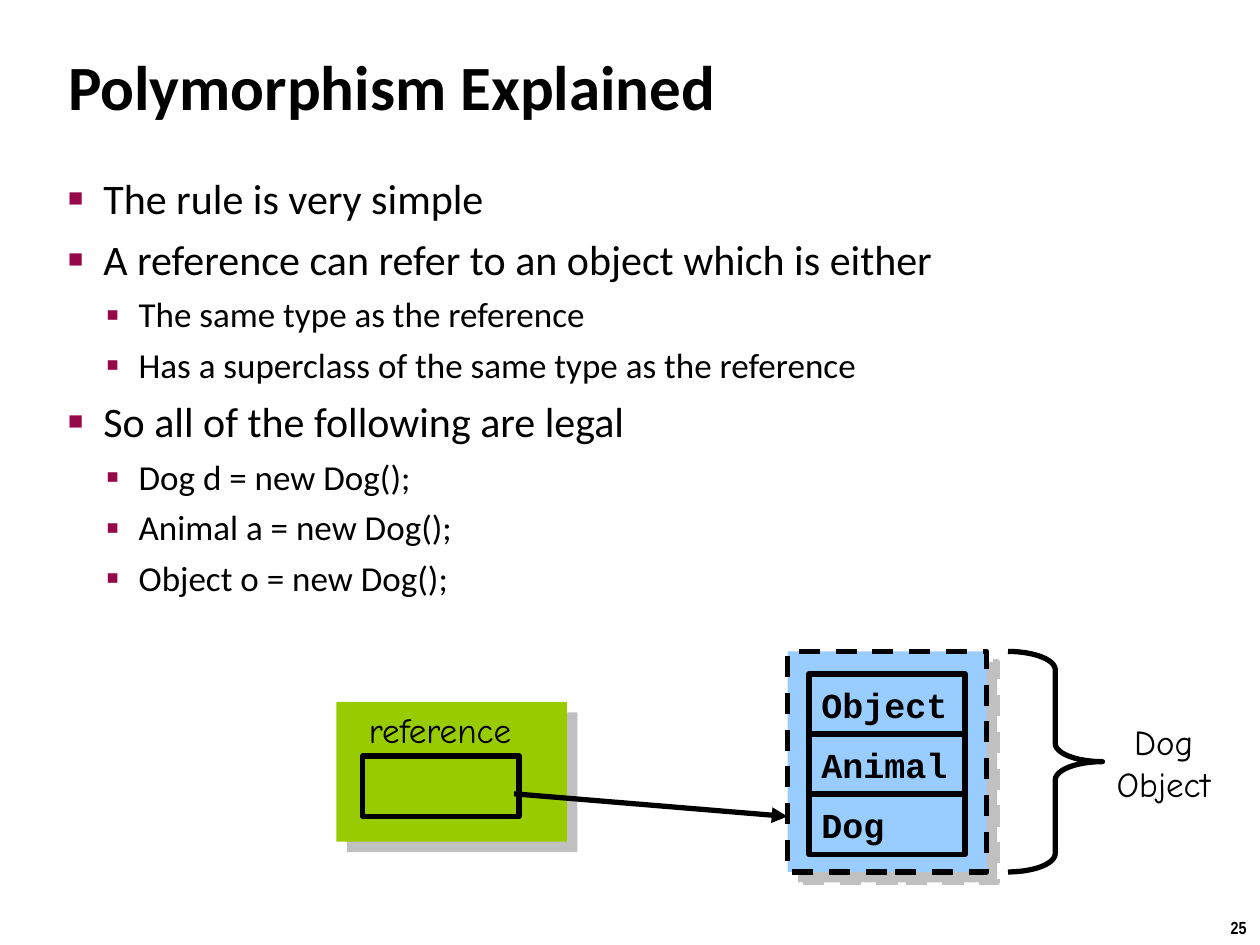
"""Builds the slide that explains polymorphism with a reference and a Dog object."""
from dataclasses import dataclass
from typing import Any, Optional

import lxml.etree
import pptx
import pptx.dml.color
import pptx.enum.dml
import pptx.enum.shapes
import pptx.enum.text
import pptx.oxml
import pptx.oxml.ns
import pptx.util

Inches = pptx.util.Inches
Pt = pptx.util.Pt
Shapes = pptx.enum.shapes.MSO_SHAPE
Align = pptx.enum.text.PP_ALIGN
Anchor = pptx.enum.text.MSO_ANCHOR
AutoSize = pptx.enum.text.MSO_AUTO_SIZE

COLORS = {
    "ink": "000000",
    "bullet": "950849",
    "object": "99CCFF",
    "reference": "99CC00",
    "shadow": "C0C0C0",
}
TITLE_FONT = {"name": "Calibri", "size": Pt(36), "bold": True}
CODE_FONT = {"name": "Courier New", "size": Pt(20), "bold": True}
LABEL_FONT = {"name": "Comic Neue", "size": Pt(20), "bold": False}
NUMBER_FONT = {"name": "Arial Narrow", "size": Pt(10), "bold": True}


@dataclass
class Level:
    size: int
    before: int
    margin: float
    hanging: float
    bullet: str
    bullet_percent: int


@dataclass
class Box:
    left: float
    top: float
    width: float
    height: float
    fill: Optional[str] = None
    outlined: bool = True
    dashed: bool = False
    shadowed: bool = False
    text: str = ""
    shape: Any = Shapes.RECTANGLE


@dataclass
class Label:
    left: float
    top: float
    width: float
    height: float
    lines: list[str]
    font: dict
    align: Any = Align.CENTER


LEVELS = [
    Level(24, 6, 0.28, 0.28, "■", 60),
    Level(20, 5, 0.56, 0.26, "▪", 110),
]
POINTS = [
    (0, "The rule is very simple"),
    (0, "A reference can refer to an object which is either"),
    (1, "The same type as the reference"),
    (1, "Has a superclass of the same type as the reference"),
    (0, "So all of the following are legal"),
    (1, "Dog d = new Dog();"),
    (1, "Animal a = new Dog();"),
    (1, "Object o = new Dog();"),
]
CLASSES = ["Object", "Animal", "Dog"]
CELL_WIDTH, CELL_HEIGHT = 1.24, 0.48
STACK_TOP, STACK_PITCH = 5.35, 0.475

BOXES = [
    Box(6.25, 5.17, 1.58, 1.75, "object", dashed=True, shadowed=True),
    Box(2.67, 5.57, 1.83, 1.11, "reference", outlined=False, shadowed=True),
    *[Box(6.42, STACK_TOP + row * STACK_PITCH, CELL_WIDTH, CELL_HEIGHT, text=name)
      for row, name in enumerate(CLASSES)],
    Box(2.88, 6, CELL_WIDTH, CELL_HEIGHT),
    Box(8, 5.17, 0.75, 1.75, shape=Shapes.RIGHT_BRACE),
]
LABELS = [
    Label(8.67, 5.67, 1.13, 0.77, ["Dog", "Object"], LABEL_FONT),
    Label(2.83, 5.57, 1.51, 0.43, ["reference"], LABEL_FONT, Align.LEFT),
    Label(9.66, 7.23, 0.34, 0.27, ["25"], NUMBER_FONT),
]


def rgb(name: str) -> pptx.dml.color.RGBColor:
    return pptx.dml.color.RGBColor.from_string(COLORS[name])


def apply(target: Any, values: dict) -> None:
    for name, value in values.items():
        setattr(target, name, value)


def add_child(parent: Any, tag: str, **attributes: str) -> Any:
    return lxml.etree.SubElement(parent, pptx.oxml.ns.qn(tag), attributes)


def write(para: Any, text: str, font: dict) -> None:
    span = para.add_run()
    span.text = text
    apply(span.font, font)
    span.font.color.rgb = rgb("ink")


def place(holder: Any, left: float, top: float, width: float, height: float) -> None:
    apply(holder, {"left": Inches(left), "top": Inches(top),
                   "width": Inches(width), "height": Inches(height)})
    sides = ["margin_left", "margin_top", "margin_right", "margin_bottom"]
    apply(holder.text_frame, {side: Inches(0.04) for side in sides})
    holder.text_frame.auto_size = AutoSize.NONE


def add_title(page: Any, text: str) -> None:
    title = page.shapes.title
    place(title, 0.5, 0.08, 9.08, 1.19)
    title.text_frame.vertical_anchor = Anchor.MIDDLE
    para = title.text_frame.paragraphs[0]
    para.alignment = Align.LEFT
    write(para, text, TITLE_FONT)


def add_points(page: Any) -> None:
    body = page.placeholders[1]
    place(body, 0.5, 1.33, 9.08, 5.94)
    frame = body.text_frame
    for index, (depth, text) in enumerate(POINTS):
        level = LEVELS[depth]
        para = frame.add_paragraph() if index else frame.paragraphs[0]
        apply(para, {"level": depth, "space_before": Pt(level.before)})
        write(para, text, {"name": "Calibri", "size": Pt(level.size)})
        props = para._p.get_or_add_pPr()
        props.set("marL", str(Inches(level.margin)))
        props.set("indent", str(-Inches(level.hanging)))
        add_child(add_child(props, "a:buClr"), "a:srgbClr", val=COLORS["bullet"])
        add_child(props, "a:buSzPct", val=str(level.bullet_percent * 1000))
        add_child(props, "a:buChar", char=level.bullet)


def add_shadow(shape: Any) -> None:
    effects = shape._element.spPr.find(pptx.oxml.ns.qn("a:effectLst"))
    shadow = add_child(effects, "a:outerShdw", dist=str(Pt(8.5)), dir="2700000",
                       algn="ctr", rotWithShape="0")
    add_child(shadow, "a:srgbClr", val=COLORS["shadow"])


def add_box(page: Any, box: Box) -> None:
    shape = page.shapes.add_shape(box.shape, Inches(box.left), Inches(box.top),
                                  Inches(box.width), Inches(box.height))
    shape.shadow.inherit = False
    if box.fill:
        shape.fill.solid()
        shape.fill.fore_color.rgb = rgb(box.fill)
    else:
        shape.fill.background()
    if box.outlined:
        shape.line.color.rgb = rgb("ink")
        shape.line.width = Pt(3)
    else:
        shape.line.fill.background()
    if box.dashed:
        shape.line.dash_style = pptx.enum.dml.MSO_LINE.DASH
    if box.shadowed:
        add_shadow(shape)
    if box.shape == Shapes.RIGHT_BRACE:
        shape.adjustments[0] = 0.194
    if box.text:
        para = shape.text_frame.paragraphs[0]
        para.alignment = Align.LEFT
        write(para, box.text, CODE_FONT)


def add_arrow(page: Any) -> None:
    arrow = page.shapes.add_connector(
        pptx.enum.shapes.MSO_CONNECTOR.STRAIGHT,
        Inches(4.08), Inches(6.3), Inches(6.25), Inches(6.48))
    arrow.line.color.rgb = rgb("ink")
    arrow.line.width = Pt(3)
    add_child(arrow.line._get_or_add_ln(), "a:tailEnd", type="triangle")
    add_child(arrow._element.spPr, "a:effectLst")


def add_label(page: Any, label: Label) -> None:
    frame = page.shapes.add_textbox(Inches(label.left), Inches(label.top),
                                    Inches(label.width), Inches(label.height)).text_frame
    apply(frame, {"word_wrap": False, "auto_size": AutoSize.SHAPE_TO_FIT_TEXT})
    for index, text in enumerate(label.lines):
        para = frame.add_paragraph() if index else frame.paragraphs[0]
        para.alignment = label.align
        write(para, text, label.font)


def main() -> None:
    deck = pptx.Presentation()
    apply(deck, {"slide_width": Inches(10), "slide_height": Inches(7.5)})
    page = deck.slides.add_slide(deck.slide_layouts[1])
    add_title(page, "Polymorphism Explained")
    add_points(page)
    for box in BOXES:
        add_box(page, box)
    add_arrow(page)
    for label in LABELS:
        add_label(page, label)
    deck.save("out.pptx")


if __name__ == "__main__":
    main()
